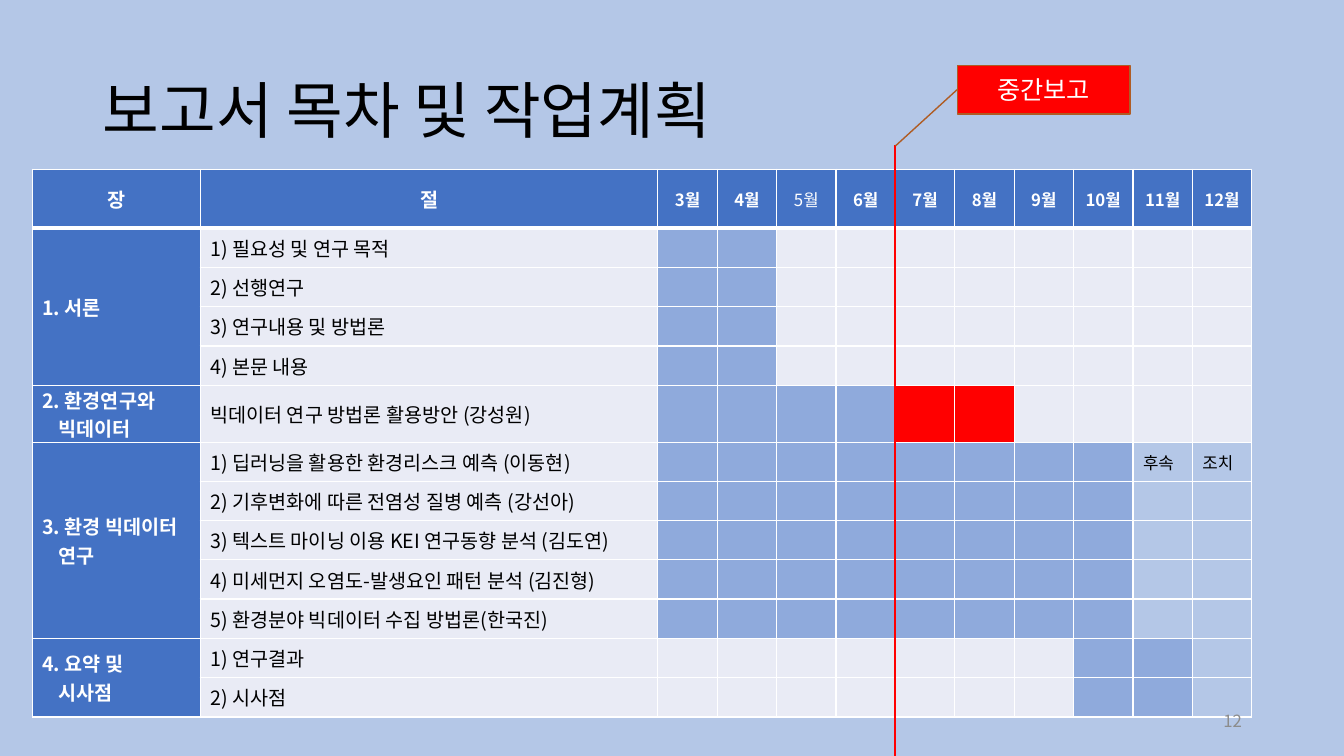
from dataclasses import dataclass

from lxml import etree
from pptx import Presentation
from pptx import util as u
from pptx.dml.color import RGBColor
from pptx.enum import shapes, text
from pptx.oxml.ns import qn

FONT = "Noto Sans CJK KR"
BLACK = RGBColor(0x00, 0x00, 0x00)
WHITE = RGBColor(0xFF, 0xFF, 0xFF)
GRAY = RGBColor(0x8C, 0x8C, 0x8C)
RED = RGBColor(0xFF, 0x00, 0x00)
BROWN = RGBColor(0xAF, 0x5C, 0x24)
HEADER = RGBColor(0x44, 0x72, 0xC4)
IDLE = RGBColor(0xE9, 0xEB, 0xF5)
WORK = RGBColor(0x8F, 0xAA, 0xDC)
PALE = RGBColor(0xB4, 0xC7, 0xE7)

WIDTH, HEIGHT = u.Inches(13.33), u.Inches(7.5)
MONTHS = range(3, 13)
FIRST_MONTH_COL = 2
LEFT, CENTER, RIGHT = text.PP_ALIGN.LEFT, text.PP_ALIGN.CENTER, text.PP_ALIGN.RIGHT


@dataclass
class Period:
    start: int
    end: int
    color: RGBColor = WORK
    labels: tuple[str, ...] = ()


@dataclass
class Section:
    title: str
    periods: list[Period]
    height: float = 5.2


@dataclass
class Chapter:
    lines: list[str]
    sections: list[Section]
    pad: float = 0.05


INTRO = [Period(3, 4)]
STUDY = [Period(3, 10), Period(11, 12, PALE)]
SUMMARY = [Period(10, 11), Period(12, 12, PALE)]
CHAPTERS = [
    Chapter(["1. 서론"], [
        Section("1) 필요성 및 연구 목적", INTRO),
        Section("2) 선행연구", INTRO),
        Section("3) 연구내용 및 방법론", INTRO),
        Section("4) 본문 내용", INTRO),
    ]),
    Chapter(["2. 환경연구와", "빅데이터"], [
        Section("빅데이터 연구 방법론 활용방안 (강성원)",
                [Period(3, 6), Period(7, 8, RED)], 6.4),
    ], pad=0),
    Chapter(["3. 환경 빅데이터", "연구"], [
        Section("1) 딥러닝을 활용한 환경리스크 예측 (이동현)",
                [Period(3, 10), Period(11, 12, PALE, ("후속", "조치"))]),
        Section("2) 기후변화에 따른 전염성 질병 예측 (강선아)", STUDY, 4.9),
        Section("3) 텍스트 마이닝 이용 KEI 연구동향 분석 (김도연)", STUDY),
        Section("4) 미세먼지 오염도-발생요인 패턴 분석 (김진형)", STUDY),
        Section("5) 환경분야 빅데이터 수집 방법론(한국진)", STUDY),
    ]),
    Chapter(["4. 요약 및", "시사점"], [
        Section("1) 연구결과", SUMMARY),
        Section("2) 시사점", SUMMARY),
    ]),
]


def across(percent: float) -> int:
    return round(WIDTH * percent / 100)


def down(percent: float) -> int:
    return round(HEIGHT * percent / 100)


def box(x: float, y: float, w: float, h: float) -> tuple[int, int, int, int]:
    return across(x), down(y), across(w), down(h)


def write(tf, *lines: str, size: float = 14, color: RGBColor = BLACK, bold: bool = False,
          align=LEFT, spacing: float = 1.0, hang: float = 0) -> None:
    """Fill a text frame; lines after the first are indented by hang inches."""
    for i, line in enumerate(lines):
        p = tf.paragraphs[0] if i == 0 else tf.add_paragraph()
        p.alignment, p.line_spacing = align, spacing
        if i and hang:
            p._p.get_or_add_pPr().set("marL", str(u.Inches(hang)))
        if not line:
            p._p.get_or_add_endParaRPr().set("sz", str(size * 100))
            continue
        r = p.add_run()
        r.text = line
        r.font.size, r.font.bold, r.font.name = u.Pt(size), bold, FONT
        r.font.color.rgb = color
        etree.SubElement(r.font._element, qn("a:ea"), typeface=FONT)


def set_cell(cell, fill: RGBColor, *lines: str, top: float = 1, bottom: float = 1,
             pad: float = 0.05, **fmt) -> None:
    tcPr = cell._tc.get_or_add_tcPr()
    for side, width in (("L", 1), ("R", 1), ("T", top), ("B", bottom)):
        ln = etree.SubElement(tcPr, qn(f"a:ln{side}"), w=str(u.Pt(width)))
        solid = etree.SubElement(ln, qn("a:solidFill"))
        etree.SubElement(solid, qn("a:srgbClr"), val=str(WHITE))
    cell.fill.solid()
    cell.fill.fore_color.rgb = fill
    cell.vertical_anchor = text.MSO_ANCHOR.MIDDLE
    cell.margin_top = cell.margin_bottom = u.Inches(pad)
    write(cell.text_frame, *lines, **fmt)


def add_schedule(s) -> None:
    heights = [7.5] + [sec.height for ch in CHAPTERS for sec in ch.sections]
    widths = [12.5, 34.05] + [4.42] * len(MONTHS)
    table = s.shapes.add_table(len(heights), len(widths),
                               *box(2.4, 22.4, sum(widths), sum(heights))).table
    for col, width in zip(table.columns, widths):
        col.width = across(width)
    for row, height in zip(table.rows, heights):
        row.height = down(height)

    # Header row
    for c, name in enumerate(["장", "절"] + [f"{m}월" for m in MONTHS]):
        set_cell(table.cell(0, c), HEADER, name, bottom=3, color=WHITE, align=CENTER,
                 size=14 if c < FIRST_MONTH_COL else 12, bold=name != "5월")

    # Chapters, their sections and the month bars
    row = 1
    for ch in CHAPTERS:
        first, last = row, row + len(ch.sections) - 1
        for sec in ch.sections:
            top = 3 if row == 1 else 1
            lines = ch.lines if row == first else [""]
            set_cell(table.cell(row, 0), HEADER, *lines, top=top, pad=ch.pad,
                     color=WHITE, bold=True, hang=0.16)
            set_cell(table.cell(row, 1), IDLE, sec.title, top=top)
            for c, month in enumerate(MONTHS, FIRST_MONTH_COL):
                fill, label = IDLE, ""
                for period in sec.periods:
                    if period.start <= month <= period.end:
                        fill = period.color
                        if period.labels:
                            label = period.labels[month - period.start]
                set_cell(table.cell(row, c), fill, label, top=top, size=12)
            row += 1
        if last > first:
            table.cell(first, 0).merge(table.cell(last, 0))


def add_midterm_mark(s) -> None:
    line_x = across(66.6)
    line = s.shapes.add_connector(shapes.MSO_CONNECTOR.STRAIGHT,
                                  line_x, down(19.2), line_x, HEIGHT)
    line.line.color.rgb, line.line.width = RED, u.Pt(1.5)
    etree.SubElement(line._element.spPr, qn("a:effectLst"))

    sp = s.shapes.add_shape(shapes.MSO_SHAPE.LINE_CALLOUT_1, *box(71.25, 8.67, 12.83, 6.4))
    for i, value in enumerate((0.49, 0, 1.66, -0.36)):
        sp.adjustments[i] = value
    sp.shadow.inherit = False
    sp.fill.solid()
    sp.fill.fore_color.rgb = RED
    sp.line.color.rgb, sp.line.width = BROWN, u.Pt(1)
    sp.text_frame.vertical_anchor = text.MSO_ANCHOR.MIDDLE
    write(sp.text_frame, "중간보고", size=18, color=WHITE, align=CENTER)


def main() -> None:
    prs = Presentation()
    prs.slide_width, prs.slide_height = WIDTH, HEIGHT
    s = prs.slides.add_slide(prs.slide_layouts[5])
    s.background.fill.solid()
    s.background.fill.fore_color.rgb = PALE

    # Title
    title = s.shapes.title
    title.left, title.top, title.width, title.height = box(6.9, 5.33, 86.25, 19.33)
    title.text_frame.vertical_anchor = text.MSO_ANCHOR.MIDDLE
    write(title.text_frame, "보고서 목차 및 작업계획", size=44, spacing=0.9)

    add_schedule(s)

    # Page number
    tf = s.shapes.add_textbox(*box(70.65, 92.67, 22.5, 5.33)).text_frame
    tf.word_wrap = True
    tf.vertical_anchor = text.MSO_ANCHOR.MIDDLE
    write(tf, "12", size=12, color=GRAY, align=RIGHT)

    add_midterm_mark(s)
    prs.save("out.pptx")


if __name__ == "__main__":
    main()
